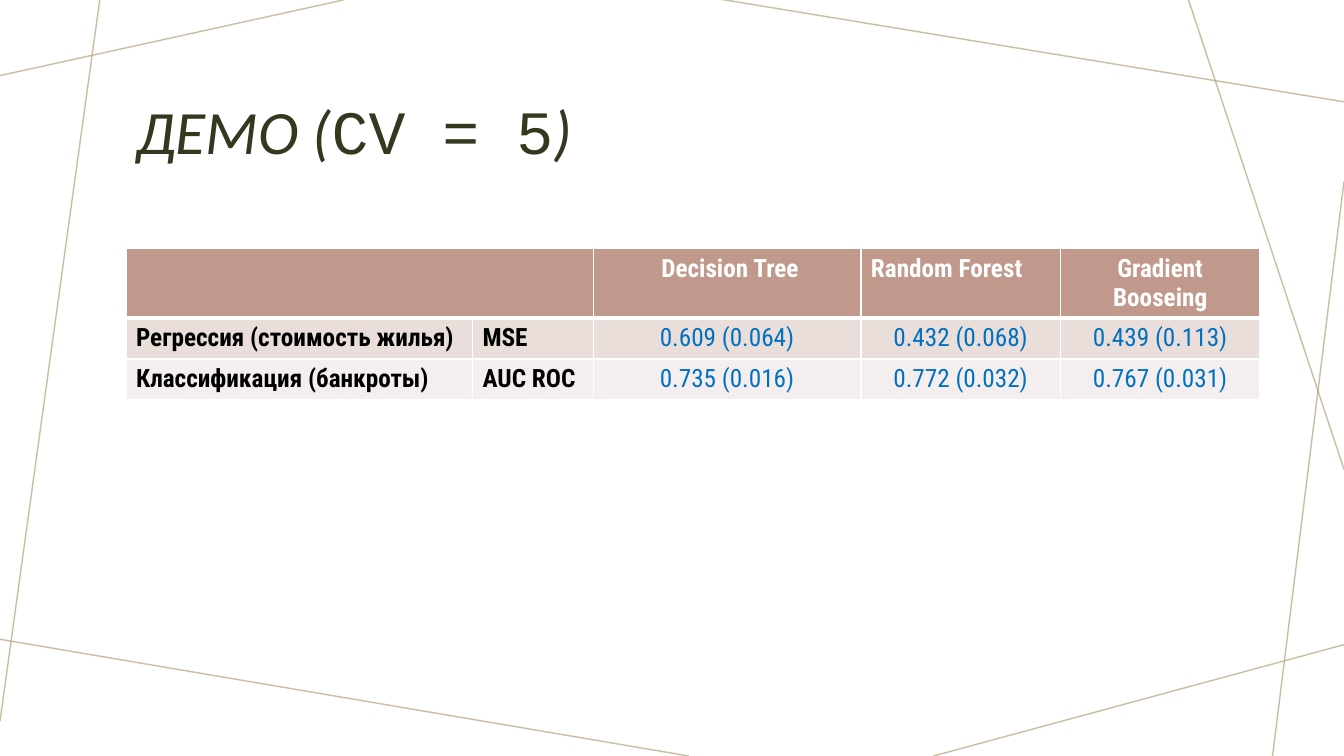
from dataclasses import dataclass

from lxml.etree import SubElement
from pptx import Presentation
from pptx.dml.color import RGBColor
from pptx.enum.shapes import MSO_CONNECTOR
from pptx.enum.text import MSO_ANCHOR, MSO_AUTO_SIZE, PP_ALIGN
from pptx.oxml.ns import qn
from pptx.util import Pt

COLORS = {
    "strand": "B5A17B",
    "title": "35371F",
    "white": "FFFFFF",
    "black": "000000",
    "score": "0070C0",
    "header": "C1998C",
    "band_dark": "E9DEDA",
    "band_light": "F4EFEE",
}
TABLE_FONT = "Roboto Condensed"
COLUMN_WIDTHS = (330, 115, 255, 190, 190)
ROW_HEIGHT = 39
LABEL_COLUMNS = 2


@dataclass(frozen=True)
class Strand:
    x1: int
    y1: int
    x2: int
    y2: int


@dataclass(frozen=True)
class TableRow:
    fill: str
    texts: tuple[str, ...]


STRANDS = (
    Strand(327, 0, 0, 72),
    Strand(95, 0, 0, 687),
    Strand(656, 720, -5, 608),
    Strand(1280, 614, 889, 720),
    Strand(1280, 173, 1212, 720),
    Strand(1280, 447, 1132, 0),
    Strand(1280, 97, 685, -1),
)
TITLE_SPANS = (
    ("ДЕМО (", "Calibri", True),
    ("CV = 5", "Courier New", False),
    (")", "Calibri", True),
)
ROWS = (
    TableRow("header", ("", "", " Decision Tree", "Random Forest", "Gradient Boosеing")),
    TableRow("band_dark", ("Регрессия (стоимость жилья)", "MSE",
                           "0.609 (0.064)", "0.432 (0.068)", "0.439 (0.113)")),
    TableRow("band_light", ("Классификация (банкроты)", "AUC ROC",
                            "0.735 (0.016)", "0.772 (0.032)", "0.767 (0.031)")),
)


def px(value: int) -> int:
    return value * 9525


def color(name: str) -> RGBColor:
    return RGBColor.from_string(COLORS[name])


def format_font(font, color_name: str, **values) -> None:
    for name, value in values.items():
        setattr(font, name, value)
    font.color.rgb = color(color_name)


def draw_strand(page, strand: Strand) -> None:
    line = page.shapes.add_connector(
        MSO_CONNECTOR.STRAIGHT, px(strand.x1), px(strand.y1), px(strand.x2), px(strand.y2))
    line.line.width = Pt(1)
    line.line.color.rgb = color("strand")
    properties = line._element.spPr
    SubElement(properties.find(f".//{qn('a:srgbClr')}"), qn("a:alpha"), val="70000")
    SubElement(properties, qn("a:effectLst"))


def draw_title(page) -> None:
    title = page.shapes.title
    page.shapes._spTree.append(title._element)
    placement = {"left": 120, "top": 56, "width": 1040, "height": 145}
    for name, value in placement.items():
        setattr(title, name, px(value))
    frame = title.text_frame
    frame.auto_size = MSO_AUTO_SIZE.NONE
    frame.vertical_anchor = MSO_ANCHOR.MIDDLE
    para = frame.paragraphs[0]
    para.alignment = PP_ALIGN.LEFT
    para.line_spacing = 0.9
    for text, font_name, italic in TITLE_SPANS:
        span = para.add_run()
        span.text = text
        format_font(span.font, "title", name=font_name, size=Pt(44), italic=italic)


def set_borders(cell, row_index: int) -> None:
    properties = cell._tc.get_or_add_tcPr()
    top = 3 if row_index == 1 else 1
    bottom = 3 if row_index == 0 else 1
    for side, width in {"L": 1, "R": 1, "T": top, "B": bottom}.items():
        border = SubElement(properties, qn(f"a:ln{side}"), w=str(Pt(width)))
        fill = SubElement(border, qn("a:solidFill"))
        SubElement(fill, qn("a:srgbClr"), val=COLORS["white"])


def fill_cell(cell, row: TableRow, row_index: int, column_index: int) -> None:
    set_borders(cell, row_index)
    cell.fill.solid()
    cell.fill.fore_color.rgb = color(row.fill)
    text = row.texts[column_index]
    if not text:
        return
    is_header = row_index == 0
    is_label = column_index < LABEL_COLUMNS
    is_left = is_label or (is_header and column_index == 3)
    para = cell.text_frame.paragraphs[0]
    para.alignment = PP_ALIGN.LEFT if is_left else PP_ALIGN.CENTER
    span = para.add_run()
    span.text = text
    text_color = "white" if is_header else "black" if is_label else "score"
    format_font(span.font, text_color, name=TABLE_FONT, size=Pt(18), bold=is_header or is_label)


def draw_table(page) -> None:
    table = page.shapes.add_table(
        len(ROWS), len(COLUMN_WIDTHS), px(120), px(237),
        px(sum(COLUMN_WIDTHS)), px(ROW_HEIGHT * len(ROWS))).table
    for column, width in zip(table.columns, COLUMN_WIDTHS):
        column.width = px(width)
    for row_index, row in enumerate(ROWS):
        for column_index in range(len(COLUMN_WIDTHS)):
            fill_cell(table.cell(row_index, column_index), row, row_index, column_index)
    table.cell(0, 0).merge(table.cell(0, LABEL_COLUMNS - 1))


def main() -> None:
    deck = Presentation()
    deck.slide_width, deck.slide_height = px(1280), px(720)
    page = deck.slides.add_slide(deck.slide_layouts[5])
    for strand in STRANDS:
        draw_strand(page, strand)
    draw_title(page)
    draw_table(page)
    deck.save("out.pptx")


if __name__ == "__main__":
    main()
